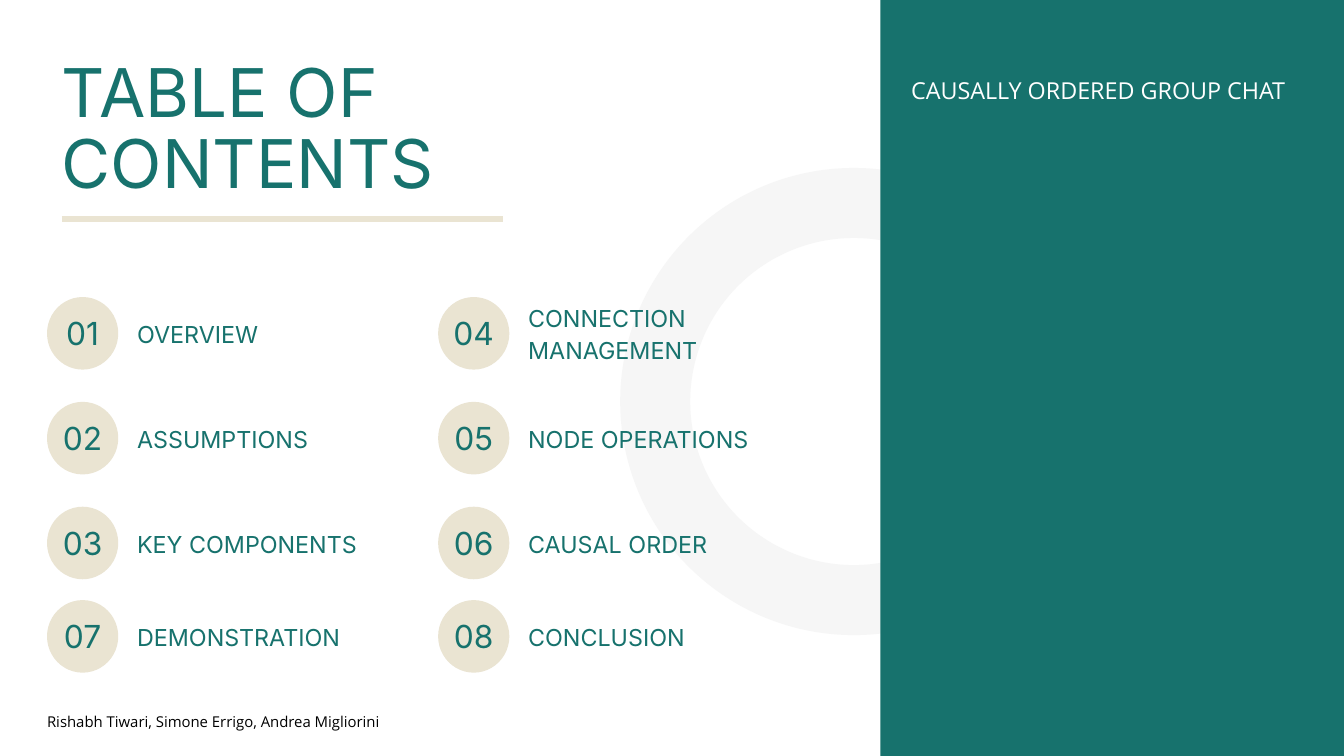
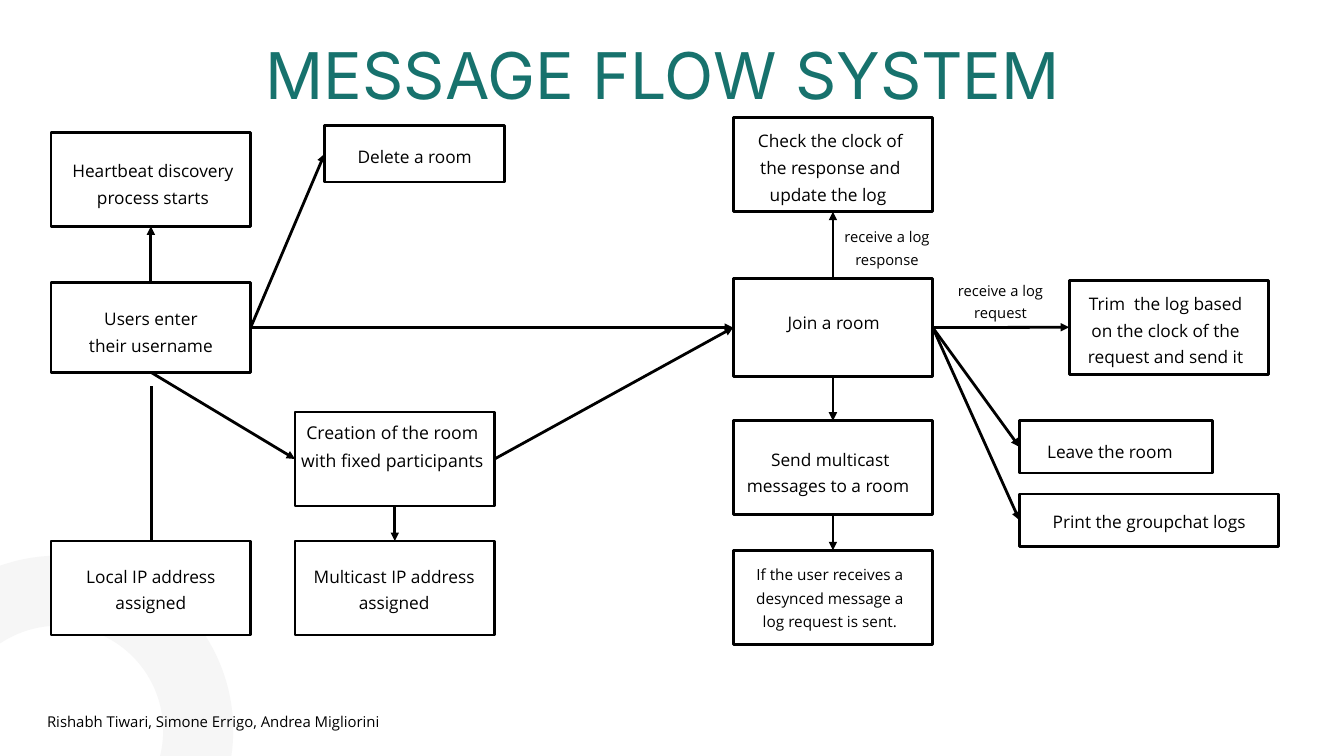
from lxml import etree
from pptx import Presentation
from pptx.dml.color import RGBColor
from pptx.enum.shapes import MSO_CONNECTOR, MSO_SHAPE
from pptx.enum.text import MSO_ANCHOR, MSO_AUTO_SIZE, PP_ALIGN
from pptx.oxml.ns import qn
from pptx.util import Inches, Pt

RECT, OVAL, STRAIGHT = MSO_SHAPE.RECTANGLE, MSO_SHAPE.OVAL, MSO_CONNECTOR.STRAIGHT
TOP, MIDDLE = MSO_ANCHOR.TOP, MSO_ANCHOR.MIDDLE
LEFT, CENTER, JUSTIFY = PP_ALIGN.LEFT, PP_ALIGN.CENTER, PP_ALIGN.JUSTIFY
TITLE_ONLY = 5

COLORS = {"teal": "17726D", "sand": "EAE4D2", "ring": "F6F6F6",
          "black": "000000", "white": "FFFFFF"}

# Leading is the line height as a multiple of the text size.
TITLE = {"font": "Inter", "color": "teal", "leading": 1.05}
LABEL = {"font": "Inter", "color": "teal", "leading": 1.4}
BODY = {"font": "Open Sans", "color": "black", "leading": 1.55}
PANEL = {"font": "Open Sans", "color": "white", "leading": 1.4}

AUTHORS = "Rishabh Tiwari, Simone Errigo, Andrea Migliorini"

TOPICS = [["01", "OVERVIEW", "04", "CONNECTION MANAGEMENT"],
          ["02", "ASSUMPTIONS", "05", "NODE OPERATIONS"],
          ["03", "KEY COMPONENTS", "06", "CAUSAL ORDER"],
          ["07", "DEMONSTRATION", "08", "CONCLUSION"]]
TOPIC_COLUMNS = [0.7, 6.52]
TOPIC_ROWS = [4.42, 5.98, 7.54, 8.93]

# Step: text, size, box, and insets of the text (left, top, right).
STEPS = {
    "username": ("Users enter their username", 18.5,
                 (0.76, 4.21, 2.97, 1.33), (0.51, 0.29, 0.51)),
    "heartbeat": ("Heartbeat discovery process starts", 18.5,
                  (0.76, 1.97, 2.97, 1.4), (0.21, 0.33, 0.15)),
    "create": ("Creation of the room with fixed participants", 18.9,
               (4.39, 6.13, 2.97, 1.4), (0.07, 0.06, 0.14)),
    "join": ("Join a room", 18.5, (10.91, 4.15, 2.97, 1.45), (0.15, 0.4, 0.13)),
    "delete": ("Delete a room", 18.5, (4.83, 1.87, 2.68, 0.84), (0, 0.21, 0)),
    "send": ("Send multicast messages to a room ", 18.5,
             (10.91, 6.26, 2.97, 1.4), (0.14, 0.33, 0.22)),
    "multicast": ("Multicast IP address assigned", 18.5,
                  (4.39, 8.05, 2.97, 1.4), (0.17, 0.28, 0.19)),
    "desync": ("If the user receives a desynced message a log request is sent.",
               16.4, (10.91, 8.19, 2.97, 1.4), (0.28, 0.14, 0.37)),
    "local": ("Local IP address assigned", 18.5,
              (0.76, 8.05, 2.97, 1.4), (0.14, 0.28, 0.14)),
    "trim": ("Trim  the log based on the clock of the request and send it", 18.5,
             (15.91, 4.17, 2.97, 1.4), (0.13, 0.1, 0.23)),
    "check": ("Check the clock of the response and update the log ", 18.5,
              (10.91, 1.75, 2.97, 1.4), (0.14, 0.1, 0.22)),
    "leave": ("Leave the room", 18.5, (15.17, 6.26, 2.87, 0.78), (0, 0.21, 0.18)),
    "print": ("Print the groupchat logs", 18.5,
              (15.17, 7.35, 3.86, 0.78), (0.05, 0.17, 0.05)),
}
SITES = {"top": 0, "left": 1, "bottom": 2, "right": 3}
FLOWS = [("create", "right", "join", "left"),
         ("join", "bottom", "send", "top"),
         ("send", "bottom", "desync", "top"),
         ("join", "right", "trim", "left"),
         ("create", "bottom", "multicast", "top"),
         ("username", "top", "heartbeat", "bottom"),
         ("username", "bottom", "create", "left"),
         ("join", "top", "check", "bottom"),
         ("username", "right", "delete", "left"),
         ("username", "right", "join", "left"),
         ("join", "right", "leave", "left"),
         ("join", "right", "print", "left")]
FLOW_LABELS = [("receive a log request", (14.21, 4.11, 1.36, 0.65)),
               ("receive a log response", (12.52, 3.31, 1.36, 0.65))]


def rgb(name):
    return RGBColor.from_string(COLORS[name])


def inches(box):
    return [Inches(v) for v in box]


def write(sp, text, style, size, align=LEFT, anchor=TOP, insets=(0, 0, 0, 0), wrap=True):
    """Put one paragraph into a shape; insets are left, top, right, bottom."""
    tf = sp.text_frame
    left, top, right, bottom = inches(insets)
    frame = {"margin_left": left, "margin_top": top, "margin_right": right,
             "margin_bottom": bottom, "word_wrap": wrap,
             "auto_size": MSO_AUTO_SIZE.NONE, "vertical_anchor": anchor}
    for name, value in frame.items():
        setattr(tf, name, value)
    p = tf.paragraphs[0]
    p.alignment = align
    p.line_spacing = Pt(round(size * style["leading"], 1))
    p.space_before = Pt(0)
    r = p.add_run()
    r.text = text
    r.font.name = style["font"]
    r.font.size = Pt(size)
    r.font.color.rgb = rgb(style["color"])


def add_text(s, box, text, style, size, **layout):
    write(s.shapes.add_textbox(*inches(box)), text, style, size, **layout)


def add_block(s, kind, box, fill=None, line=None, width=0):
    sp = s.shapes.add_shape(kind, *inches(box))
    sp.shadow.inherit = False
    if fill:
        sp.fill.solid()
        sp.fill.fore_color.rgb = rgb(fill)
    else:
        sp.fill.background()
    if line:
        sp.line.color.rgb = rgb(line)
        sp.line.width = Pt(width)
    else:
        sp.line.fill.background()
    return sp


def add_line(s, start, end, color, width, arrow=False):
    c = s.shapes.add_connector(STRAIGHT, *inches(start + end))
    c.line.color.rgb = rgb(color)
    c.line.width = Pt(width)
    if arrow:
        etree.SubElement(c.line._get_or_add_ln(), qn("a:tailEnd"), type="triangle")
    etree.SubElement(c._element.spPr, qn("a:effectLst"))
    return c


def add_ring(s, x, y, diameter):
    add_block(s, OVAL, (x, y, diameter, diameter), line="ring", width=75)


def add_title(s, box, text, size, align=LEFT):
    title = s.shapes.title
    title.left, title.top, title.width, title.height = inches(box)
    write(title, text, TITLE, size, align=align)


def add_footer(s):
    add_text(s, (0.7, 10.53, 8.28, 0.32), AUTHORS, BODY, 16, align=JUSTIFY)


def add_side_panel(s, x, y, w, h):
    add_block(s, RECT, (x, y, w, h), fill="teal")
    add_text(s, (x + 0.46, y + 1.07, w - 0.91, 0.46),
             "CAUSALLY ORDERED GROUP CHAT", PANEL, 25)


def add_topic(s, x, y, number, topic):
    badge = add_block(s, OVAL, (x, y, 1.06, 1.08), fill="sand")
    write(badge, number, LABEL, 34, align=CENTER, anchor=MIDDLE,
          insets=(0, 0, 0, 0.1), wrap=False)
    add_text(s, (x + 1.34, y + 0.04, 3.95, 0.96), topic, LABEL, 25, anchor=MIDDLE)


def add_step(s, text, size, box, insets):
    sp = add_block(s, RECT, box, fill="white", line="black", width=3)
    write(sp, text, BODY, size, align=CENTER, insets=(*insets, 0))
    return sp


def add_flow(s, source, source_side, target, target_side):
    c = add_line(s, (0, 0), (1, 1), "black", 3, arrow=True)
    c.begin_connect(source, SITES[source_side])
    c.end_connect(target, SITES[target_side])


def contents_slide(prs):
    s = prs.slides.add_slide(prs.slide_layouts[TITLE_ONLY])
    add_ring(s, 9.75, 3.02, 5.91)
    add_side_panel(s, 13.1, 0, 6.9, 11.25)
    add_title(s, (0.92, 0.9, 7.83, 2.12), "TABLE OF CONTENTS", 72)
    add_line(s, (0.92, 3.26), (7.49, 3.26), "sand", 6)
    for y, row in zip(TOPIC_ROWS, TOPICS):
        for x, number, topic in zip(TOPIC_COLUMNS, row[::2], row[1::2]):
            add_topic(s, x, y, number, topic)
    add_footer(s)


def message_flow_slide(prs):
    s = prs.slides.add_slide(prs.slide_layouts[TITLE_ONLY])
    add_ring(s, -1.21, 8.79, 4.16)
    add_footer(s)
    add_title(s, (2.04, 0.66, 15.65, 1.04), "MESSAGE FLOW SYSTEM", 69, align=CENTER)
    # This arrow ends behind the local address box.
    add_line(s, (2.25, 5.75), (2.25, 8.19), "black", 3, arrow=True)
    steps = {name: add_step(s, *step) for name, step in STEPS.items()}
    for source, source_side, target, target_side in FLOWS:
        add_flow(s, steps[source], source_side, steps[target], target_side)
    for text, box in FLOW_LABELS:
        add_text(s, box, text, BODY, 15.8, align=CENTER)


def main():
    prs = Presentation()
    prs.slide_width, prs.slide_height = Inches(20), Inches(11.25)
    contents_slide(prs)
    message_flow_slide(prs)
    prs.save("out.pptx")


if __name__ == "__main__":
    main()
